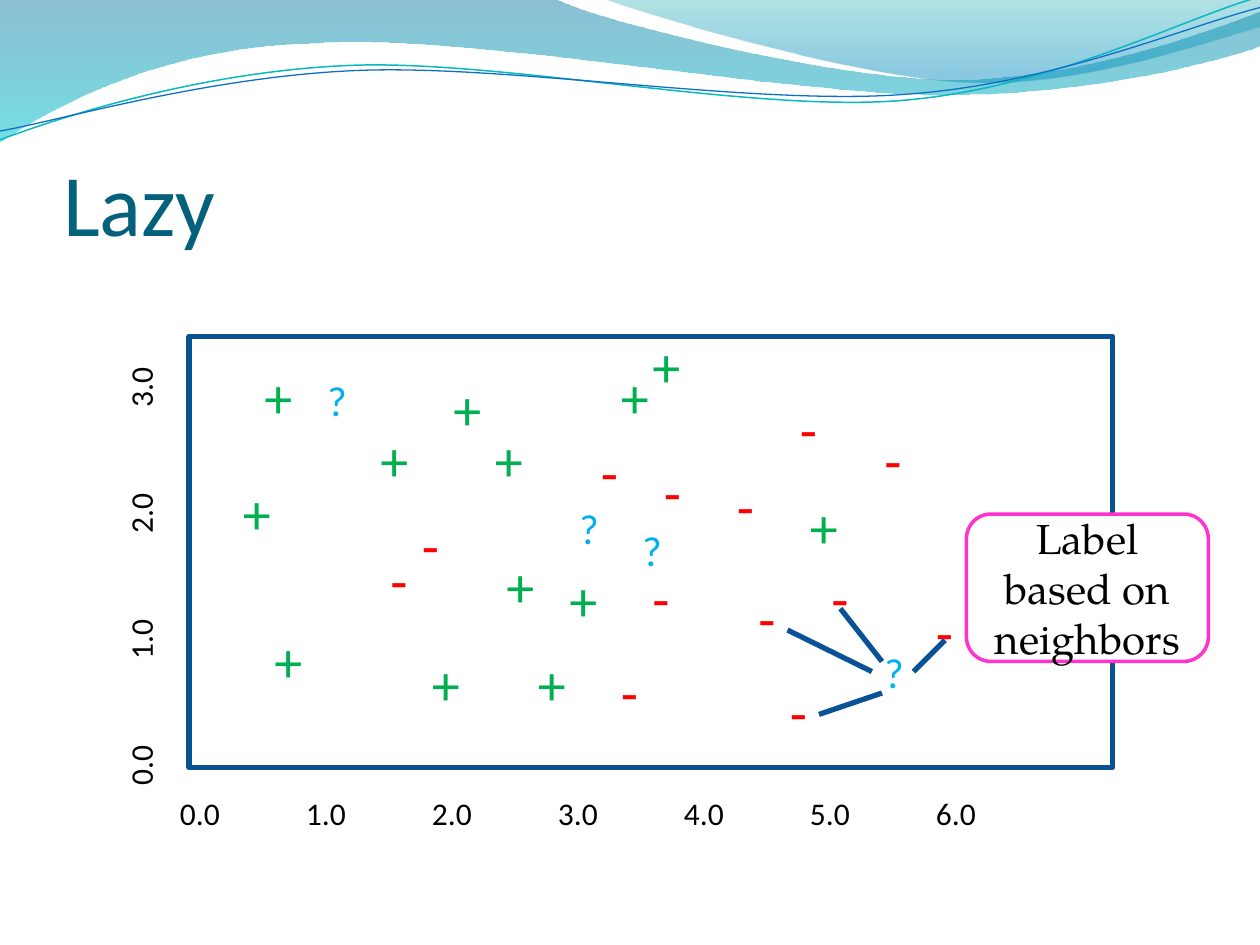
"""Build the slide on lazy learning with a labelled scatter of neighbours."""
from lxml import etree
from pptx import Presentation
from pptx import util as u
from pptx.dml.color import RGBColor
from pptx.enum import shapes, text
from pptx.oxml.ns import qn

BLACK = RGBColor(0, 0, 0)
WHITE = RGBColor(0xFF, 0xFF, 0xFF)
TITLE_TEAL = RGBColor(0x04, 0x61, 0x7B)
FRAME_BLUE = RGBColor(0x0B, 0x52, 0x92)
LINK_BLUE = RGBColor(0x09, 0x52, 0x95)
GREEN = RGBColor(0x00, 0xB0, 0x50)
RED = RGBColor(0xFF, 0x00, 0x00)
SKY = RGBColor(0x00, 0xB0, 0xF0)
PINK = RGBColor(0xFF, 0x33, 0xCC)
CREST_TEAL = RGBColor(0x0A, 0xB8, 0xBF)
CREST_BLUE = RGBColor(0x0F, 0x6F, 0xC6)

WAVES = [
    ([(0, 0), (4.4, -0.01), (4.76, 0.17, 6.64, 0.63, 7.58, 0.63),
      (8.53, 0.63, 9.58, 0.26, 10, 0.09), (10.01, 0.36),
      (9.83, 0.44, 8.7, 0.76, 7.46, 0.75), (6.22, 0.75, 3.82, 0.28, 2.57, 0.34),
      (1.29, 0.36, 0.46, 0.83, -0.01, 1.13), (0, 0)],
     [(0, RGBColor(0x00, 0x74, 0xA1), 45), (1, RGBColor(0x00, 0xC6, 0xCF), 55)]),
    ([(4.79, -0.01), (5.09, 0.11, 6.82, 0.62, 7.69, 0.65),
      (8.56, 0.69, 9.61, 0.32, 10, 0.21), (10, 0), (4.79, -0.01)],
     [(0, RGBColor(0x00, 0xA1, 0xA9), 30), (0.8, RGBColor(0x00, 0x8B, 0xBF), 45)]),
]
CRESTS = [
    ([(0, 1.11), (0.48, 0.93, 1.58, 0.57, 2.77, 0.52),
      (3.95, 0.47, 5.93, 0.89, 7.13, 0.8), (8.33, 0.71, 9.38, 0.15, 9.98, -0.02)],
     CREST_TEAL, 0.85),
    ([(0, 1.04), (0.47, 0.96, 1.64, 0.61, 2.83, 0.56),
      (4.03, 0.51, 5.97, 0.84, 7.17, 0.75), (8.36, 0.67, 9.41, 0.21, 10, 0.06)],
     CREST_BLUE, 0.75),
]
POSITIVES = [(2.92, 3.33), (1.83, 3.75), (2.08, 4.92), (3.33, 5.11), (3.83, 3.33),
             (3.5, 2.92), (3.92, 4.33), (4.17, 5.11), (4.42, 4.44), (4.83, 2.83),
             (2, 2.83), (6.33, 3.86), (5.08, 2.58)]
NEGATIVES = [(4.67, 3.42), (5.17, 3.58), (5.08, 4.42), (4.83, 5.17), (6.17, 5.33),
             (5.75, 3.69), (3.25, 4), (6.5, 4.42), (6.25, 3.08), (3, 4.28),
             (5.92, 4.58), (6.92, 3.33), (7.33, 4.69)]
QUERIES = [(4.5, 3.94), (2.5, 2.92), (6.92, 5.08), (5, 4.11)]
NEIGHBOR_LINKS = [(6.25, 5, 6.92, 5.33), (7.25, 5.33, 7.5, 5.08),
                  (6.5, 5.67, 7, 5.5), (6.67, 4.83, 7, 5.25)]


def inches(*lengths):
    """Return the lengths in slide units."""
    return [u.Inches(length) for length in lengths]


def add_run(paragraph, words, size, color, font="Calibri"):
    """Append one formatted run."""
    run = paragraph.add_run()
    run.text = words
    run.font.size = u.Pt(size)
    run.font.name = font
    run.font.color.rgb = color


def bend(outline, segments):
    """Join the straight steps of each six-number segment into one cubic curve."""
    steps = iter(list(outline._element.spPr.iter(qn("a:lnTo"))))
    for segment in segments[1:]:
        first = next(steps)
        if len(segment) == 6:
            first.tag = qn("a:cubicBezTo")
            for _ in range(2):
                step = next(steps)
                first.append(step[0])
                step.getparent().remove(step)


def add_outline(slide, segments, close):
    """Add a freeform of straight and cubic segments."""
    points = [inches(*segment[at:at + 2])
              for segment in segments for at in range(0, len(segment), 2)]
    builder = slide.shapes.build_freeform(*points[0])
    builder.add_line_segments(points[1:], close=close)
    outline = builder.convert_to_shape()
    outline.shadow.inherit = False
    bend(outline, segments)
    return outline


def add_wave(slide, segments, stops):
    """Add a wave with a translucent top-to-bottom gradient."""
    wave = add_outline(slide, segments, True)
    wave.line.fill.background()
    wave.fill.gradient()
    wave.fill.gradient_angle = 270
    for stop, (position, color, _) in zip(wave.fill.gradient_stops, stops):
        stop.position = position
        stop.color.rgb = color
    tints = wave._element.spPr.iter(qn("a:srgbClr"))
    for tint, (_, _, opacity) in zip(list(tints), stops):
        etree.SubElement(tint, qn("a:alpha")).set("val", str(opacity * 1000))


def add_crest(slide, segments, color, width):
    """Add a thin curved line."""
    crest = add_outline(slide, segments, False)
    crest.fill.background()
    crest.line.color.rgb = color
    crest.line.width = u.Pt(width)


def add_title(slide, words):
    """Place and fill the title placeholder."""
    title = slide.shapes.title
    title.left, title.top, title.width, title.height = inches(0.5, 0.77, 9, 1.25)
    frame = title.text_frame
    frame.vertical_anchor = text.MSO_ANCHOR.BOTTOM
    frame.margin_left = frame.margin_right = frame.margin_bottom = 0
    frame.margin_top = u.Inches(0.05)
    frame.paragraphs[0].alignment = text.PP_ALIGN.LEFT
    add_run(frame.paragraphs[0], words, 50, TITLE_TEAL)


def add_label(slide, box, words, size, color):
    """Add a wrapped text box."""
    label = slide.shapes.add_textbox(*inches(*box))
    label.text_frame.word_wrap = True
    add_run(label.text_frame.paragraphs[0], words, size, color)
    return label


def add_axis(slide, left, top, last, rotation=0):
    """Add axis values from zero to last on one-inch tab stops."""
    values = "".join(f"{value}.0\t" for value in range(last + 1))
    axis = add_label(slide, (left, top, 7.75, 0.4), values, 18, BLACK)
    axis.rotation = rotation
    properties = axis.text_frame.paragraphs[0]._p.get_or_add_pPr()
    tabs = etree.SubElement(properties, qn("a:tabLst"))
    for position in range(1, last + 2):
        tab = etree.SubElement(tabs, qn("a:tab"))
        tab.set("pos", str(u.Inches(position)))
        tab.set("algn", "l")


def add_marks(slide, places, sign, size, height, color):
    """Add one sign at each place."""
    for left, top in places:
        add_label(slide, (left, top, 0.58, height), sign, size, color)


def add_box(slide, kind, box, color, width):
    """Add an unfilled outlined shape."""
    outlined = slide.shapes.add_shape(kind, *inches(*box))
    outlined.shadow.inherit = False
    outlined.fill.background()
    outlined.line.color.rgb = color
    outlined.line.width = u.Pt(width)
    return outlined


def add_callout(slide, words):
    """Add the rounded note about labelling."""
    callout = add_box(slide, shapes.MSO_SHAPE.ROUNDED_RECTANGLE,
                      (7.67, 4.08, 1.92, 1.17), PINK, 2)
    callout.fill.solid()
    callout.fill.fore_color.rgb = WHITE
    frame = callout.text_frame
    frame.word_wrap = True
    frame.vertical_anchor = text.MSO_ANCHOR.MIDDLE
    frame.paragraphs[0].alignment = text.PP_ALIGN.CENTER
    add_run(frame.paragraphs[0], words, 24, BLACK, "TeX Gyre Pagella")


def add_link(slide, ends):
    """Add a line from the query point to a neighbor."""
    link = slide.shapes.add_connector(shapes.MSO_CONNECTOR.STRAIGHT, *inches(*ends))
    link.line.color.rgb = LINK_BLUE
    link.line.width = u.Pt(3)
    etree.SubElement(link._element.spPr, qn("a:effectLst"))


def main():
    """Build and save the slide."""
    deck = Presentation()
    deck.slide_width, deck.slide_height = inches(10, 7.5)
    slide = deck.slides.add_slide(deck.slide_layouts[5])
    for wave in WAVES:
        add_wave(slide, *wave)
    for crest in CRESTS:
        add_crest(slide, *crest)
    add_title(slide, "Lazy")
    add_axis(slide, 1.33, 6.25, 6)
    add_axis(slide, -2.76, 2.26, 3, 270)
    add_box(slide, shapes.MSO_SHAPE.RECTANGLE, (1.5, 2.67, 7.33, 3.42), FRAME_BLUE, 3)
    add_marks(slide, POSITIVES, "+", 32, 0.64, GREEN)
    add_marks(slide, NEGATIVES, "-", 32, 0.64, RED)
    add_callout(slide, "Label based on neighbors")
    add_marks(slide, QUERIES, "?", 24, 0.5, SKY)
    for ends in NEIGHBOR_LINKS:
        add_link(slide, ends)
    deck.save("out.pptx")


if __name__ == "__main__":
    main()
